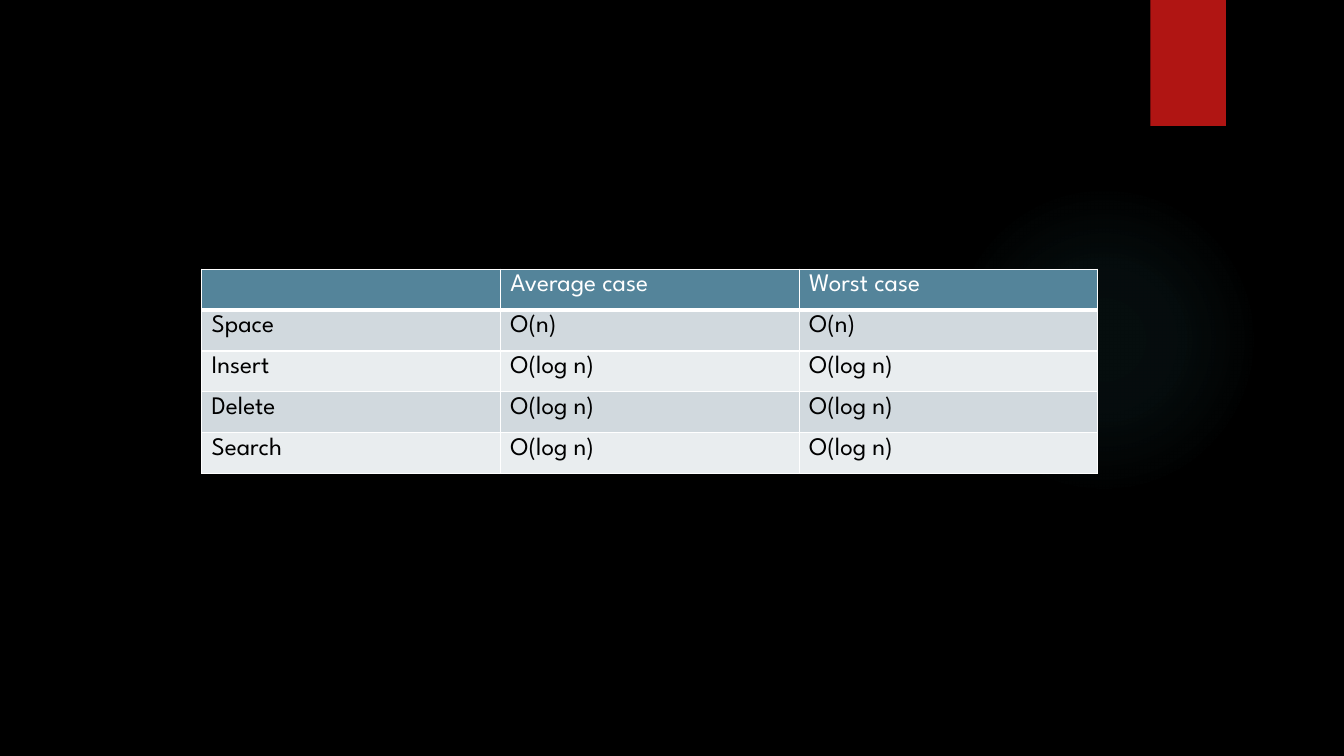
from dataclasses import dataclass
from typing import NamedTuple

from pptx import Presentation
from pptx.dml.color import RGBColor as RGB
from pptx.enum.shapes import MSO_SHAPE as Kind
from pptx.oxml import parse_xml
from pptx.oxml.ns import nsdecls, qn
from pptx.util import Inches, Pt


@dataclass(frozen=True)
class Theme:
    """Colours, font and sizes of the slide."""
    back: str = "000000"
    glow: str = "50B9C1"
    tab: str = "B01513"
    head: str = "54849A"
    bands: tuple = ("D1D9DE", "E9EDEF")
    light: str = "FFFFFF"
    dark: str = "000000"
    font: str = "League Spartan"
    size: int = 18
    thin: int = 1
    thick: int = 3


class Box(NamedTuple):
    """A place on the slide, in inches."""
    left: float
    top: float
    width: float
    height: float

    def lengths(self) -> list:
        """Give the four measures as lengths."""
        return [Inches(side) for side in self]


class Cost(NamedTuple):
    """One table row: a label and its two cases."""
    label: str
    average: str
    worst: str


class Stop(NamedTuple):
    """A gradient stop: position and opacity in percent."""
    place: int
    alpha: int


THEME = Theme()
GLOW = Box(9.41, 1.83, 3.08, 3.08)
TAB = Box(11.41, 0, 0.75, 1.25)
GRID = Box(2, 2.67, 8.89, 2.03)
STOPS = [Stop(0, 7), Stop(36, 6), Stop(69, 0)]
COSTS = [
    Cost("", "Average case", "Worst case"),
    Cost("Space", "O(n)", "O(n)"),
    Cost("Insert", "O(log n)", "O(log n)"),
    Cost("Delete", "O(log n)", "O(log n)"),
    Cost("Search", "O(log n)", "O(log n)"),
]


def tint(fill, color: str) -> None:
    """Set a solid fill."""
    fill.solid()
    fill.fore_color.rgb = RGB.from_string(color)


def add_form(slide, kind: Kind, box: Box, color: str):
    """Add a flat shape without outline or shadow."""
    form = slide.shapes.add_shape(kind, *box.lengths())
    form.shadow.inherit = False
    form.line.fill.background()
    tint(form.fill, color)
    return form


def add_glow(slide) -> None:
    """Add the circle whose colour fades outward."""
    form = add_form(slide, Kind.OVAL, GLOW, THEME.glow)
    stops = "".join(
        f'<a:gs pos="{stop.place * 1000}"><a:srgbClr val="{THEME.glow}">'
        f'<a:alpha val="{stop.alpha * 1000}"/></a:srgbClr></a:gs>'
        for stop in STOPS)
    fade = parse_xml(
        f'<a:gradFill {nsdecls("a")} rotWithShape="1"><a:gsLst>{stops}</a:gsLst>'
        '<a:path path="circle"><a:fillToRect l="50000" t="50000" r="50000" '
        'b="50000"/></a:path></a:gradFill>')
    props = form.element.spPr
    props.replace(props.find(qn("a:solidFill")), fade)


def add_rules(cell, base: int) -> None:
    """Draw the four borders, with the given weight below."""
    props = cell._tc.get_or_add_tcPr()
    weights = {"L": THEME.thin, "R": THEME.thin, "T": THEME.thin, "B": base}
    for spot, (side, weight) in enumerate(weights.items()):
        props.insert(spot, parse_xml(
            f'<a:ln{side} {nsdecls("a")} w="{Pt(weight)}"><a:solidFill>'
            f'<a:srgbClr val="{THEME.light}"/></a:solidFill></a:ln{side}>'))


def set_cell(cell, text: str, row: int) -> None:
    """Write and style one cell by its row."""
    head = row == 0
    tint(cell.fill, THEME.head if head else THEME.bands[(row - 1) % 2])
    add_rules(cell, THEME.thick if head else THEME.thin)
    cell.text_frame.text = text
    font = cell.text_frame.paragraphs[0].font
    if text:
        font = cell.text_frame.paragraphs[0].runs[0].font
    font.name, font.size, font.bold = THEME.font, Pt(THEME.size), False
    font.color.rgb = RGB.from_string(THEME.light if head else THEME.dark)


def add_costs(slide) -> None:
    """Add the table of costs."""
    frame = slide.shapes.add_table(
        len(COSTS), len(Cost._fields), *GRID.lengths())
    for row, cost in enumerate(COSTS):
        for col, text in enumerate(cost):
            set_cell(frame.table.cell(row, col), text, row)


def main() -> None:
    """Build and save the slide."""
    deck = Presentation()
    deck.slide_width, deck.slide_height = Inches(13.33), Inches(7.5)
    slide = deck.slides.add_slide(deck.slide_layouts[6])
    tint(slide.background.fill, THEME.back)
    add_glow(slide)
    add_form(slide, Kind.RECTANGLE, TAB, THEME.tab)
    add_costs(slide)
    deck.save("out.pptx")


main()
